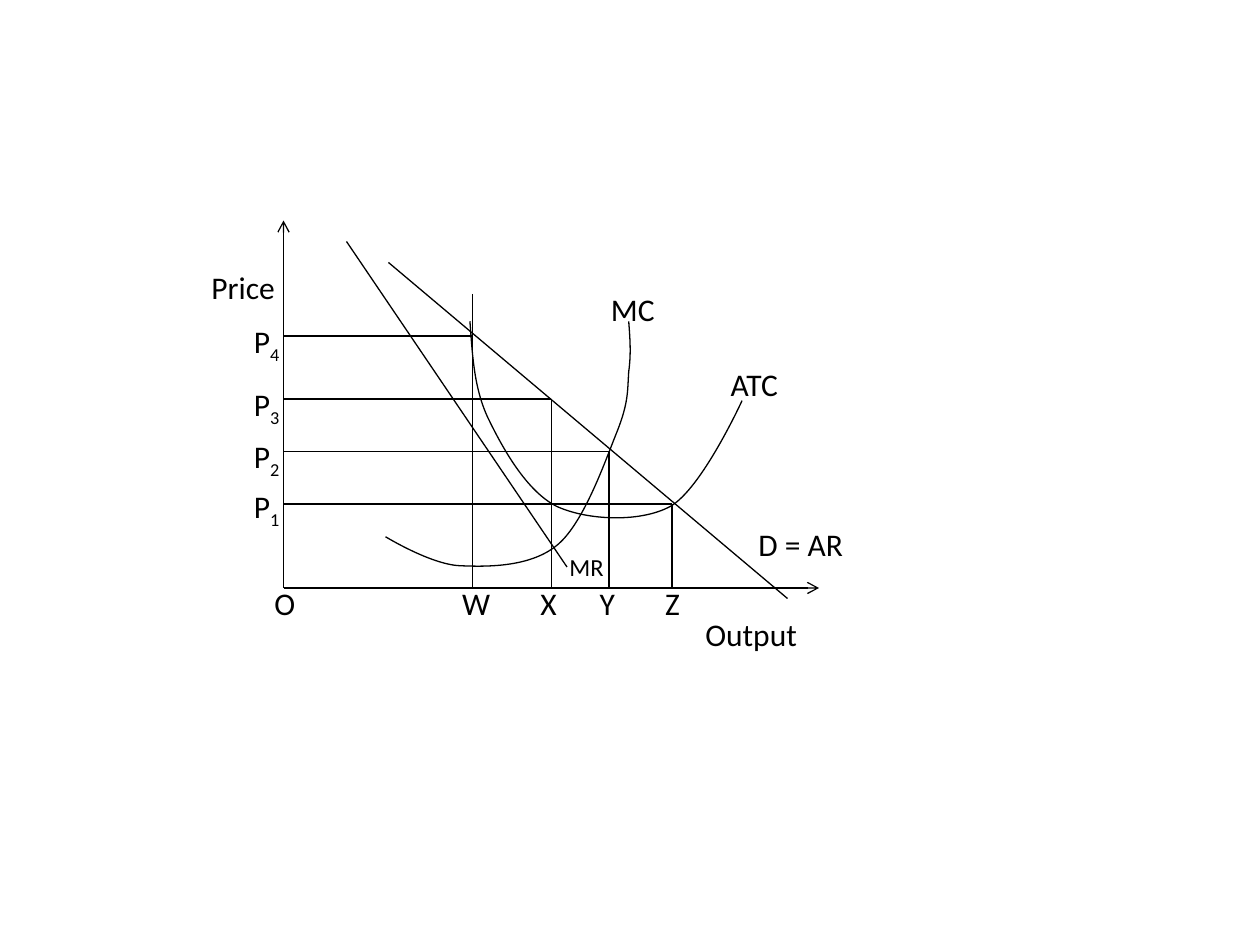
from dataclasses import dataclass

from pptx import Presentation
from pptx.dml.color import RGBColor
from pptx.enum.shapes import MSO_CONNECTOR
from pptx.enum.text import MSO_AUTO_SIZE
from pptx.oxml.ns import qn
from pptx.slide import Slide
from pptx.util import Inches, Pt
from lxml.etree import SubElement

Point = tuple[float, float]
INK = "000000"
FONT = "Calibri"
GRID_PER_INCH = 12
ORIGIN = (27, 56)
OUTPUT_LABEL_TOP = 55 / GRID_PER_INCH
PRICE_LABEL_LEFT = 23 / GRID_PER_INCH


@dataclass
class Segment:
    start: Point
    end: Point
    arrow: bool = False


@dataclass
class Curve:
    start: Point
    bends: list[tuple[Point, Point, Point]]


@dataclass
class Label:
    text: str
    left: float
    top: float
    width: float
    subscript: str = ""
    size: int = 18
    height: float = 0.4


@dataclass
class Level:
    output: str
    quantity: float
    price: float
    guide_top: float
    output_left: float
    output_width: float
    subscript: str
    price_top: float


AXES = [
    Segment(ORIGIN, (27, 21), arrow=True),
    Segment(ORIGIN, (78, 56), arrow=True),
]
DEMAND = Segment((37, 25), (75, 57))
MARGINAL_REVENUE = Segment((33, 23), (54, 54))

LEVELS = [
    Level("W", 45, 32, 28, 3.57, 0.43, "4", 2.51),
    Level("X", 52.5, 38, 38, 4.19, 0.33, "3", 3.01),
    Level("Y", 58, 43, 43, 4.66, 0.32, "2", 3.42),
    Level("Z", 64, 48, 48, 5.18, 0.32, "1", 3.82),
]

AVERAGE_TOTAL_COST = Curve((3.73, 2.55), [
    ((3.75, 2.81), (3.76, 3.07), (3.87, 3.31)),
    ((3.99, 3.56), (4.18, 3.9), (4.42, 4.02)),
    ((4.66, 4.13), (5.08, 4.15), (5.32, 4.02)),
    ((5.57, 3.88), (5.89, 3.18), (5.89, 3.18)),
])
MARGINAL_COST = Curve((4.99, 2.55), [
    ((5, 2.68), (5.01, 2.81), (4.99, 2.95)),
    ((4.98, 3.1), (4.99, 3.19), (4.9, 3.42)),
    ((4.81, 3.64), (4.64, 4.14), (4.43, 4.32)),
    ((4.22, 4.5), (3.88, 4.5), (3.65, 4.49)),
    ((3.42, 4.48), (3.06, 4.26), (3.06, 4.26)),
])

LABELS = [
    Label("MR", 4.42, 4.33, 0.48, size=14, height=0.34),
    Label("MC", 4.75, 2.25, 0.55),
    Label("ATC", 5.7, 2.85, 0.58),
    Label("D = AR", 5.92, 4.12, 0.88),
    Label("Output", 5.5, 4.83, 0.94),
    Label("O", 2.08, OUTPUT_LABEL_TOP, 0.37),
    Label("Price", 1.58, 2.08, 0.77),
]


def color(value: str) -> RGBColor:
    return RGBColor.from_string(value)


def style_line(shape) -> None:
    shape.line.color.rgb = color(INK)
    shape.line.width = Pt(0.75)


def draw_segment(slide: Slide, segment: Segment) -> None:
    ends = [Inches(value / GRID_PER_INCH) for value in (*segment.start, *segment.end)]
    connector = slide.shapes.add_connector(MSO_CONNECTOR.STRAIGHT, *ends)
    style_line(connector)
    properties = connector._element.spPr
    if segment.arrow:
        SubElement(properties.find(qn("a:ln")), qn("a:tailEnd"), type="arrow")
    SubElement(properties, qn("a:effectLst"))


def draw_curve(slide: Slide, curve: Curve) -> None:
    builder = slide.shapes.build_freeform(*(Inches(value) for value in curve.start))
    vertices = [(Inches(x), Inches(y)) for bend in curve.bends for x, y in bend]
    builder.add_line_segments(vertices, close=False)
    shape = builder.convert_to_shape()
    outline = next(shape._element.iter(qn("a:path")))
    lines = outline.findall(qn("a:lnTo"))
    for first in range(0, len(lines), 3):
        bend = SubElement(outline, qn("a:cubicBezTo"))
        for line in lines[first:first + 3]:
            bend.append(line[0])
            outline.remove(line)
    shape.shadow.inherit = False
    shape.fill.background()
    style_line(shape)


def draw_label(slide: Slide, label: Label) -> None:
    bounds = (label.left, label.top, label.width, label.height)
    shape = slide.shapes.add_textbox(*(Inches(value) for value in bounds))
    frame = shape.text_frame
    frame.word_wrap = False
    frame.auto_size = MSO_AUTO_SIZE.SHAPE_TO_FIT_TEXT
    paragraph = frame.paragraphs[0]
    for text, baseline in ((label.text, None), (label.subscript, "-25000")):
        if not text:
            continue
        run = paragraph.add_run()
        run.text = text
        run.font.name = FONT
        run.font.size = Pt(label.size)
        run.font.color.rgb = color(INK)
        if baseline:
            run._r.get_or_add_rPr().set("baseline", baseline)


def main() -> None:
    presentation = Presentation()
    presentation.slide_width = Inches(10)
    presentation.slide_height = Inches(7.5)
    slide = presentation.slides.add_slide(presentation.slide_layouts[6])

    origin_x, origin_y = ORIGIN
    price_guides = [
        Segment((origin_x, level.price), (level.quantity, level.price))
        for level in LEVELS
    ]
    output_guides = [
        Segment((level.quantity, level.guide_top), (level.quantity, origin_y))
        for level in LEVELS
    ]
    for segment in [*AXES, DEMAND, *price_guides, *output_guides]:
        draw_segment(slide, segment)
    for curve in (AVERAGE_TOTAL_COST, MARGINAL_COST):
        draw_curve(slide, curve)
    draw_segment(slide, MARGINAL_REVENUE)

    output_labels = [
        Label(level.output, level.output_left, OUTPUT_LABEL_TOP, level.output_width)
        for level in LEVELS
    ]
    price_labels = [
        Label("P", PRICE_LABEL_LEFT, level.price_top, 0.42, level.subscript)
        for level in LEVELS
    ]
    for label in [*output_labels, *LABELS, *price_labels]:
        draw_label(slide, label)
    presentation.save("out.pptx")


if __name__ == "__main__":
    main()
